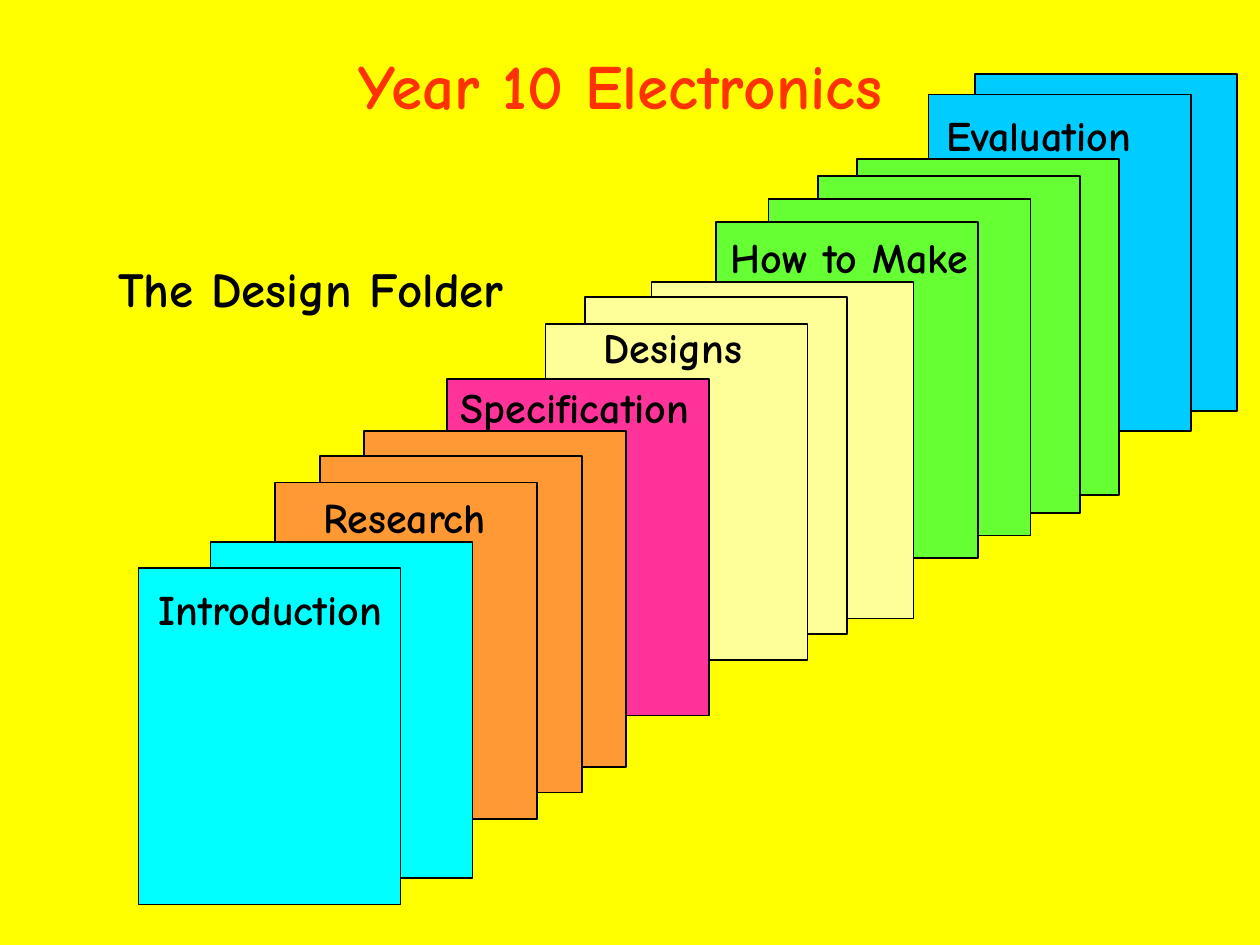
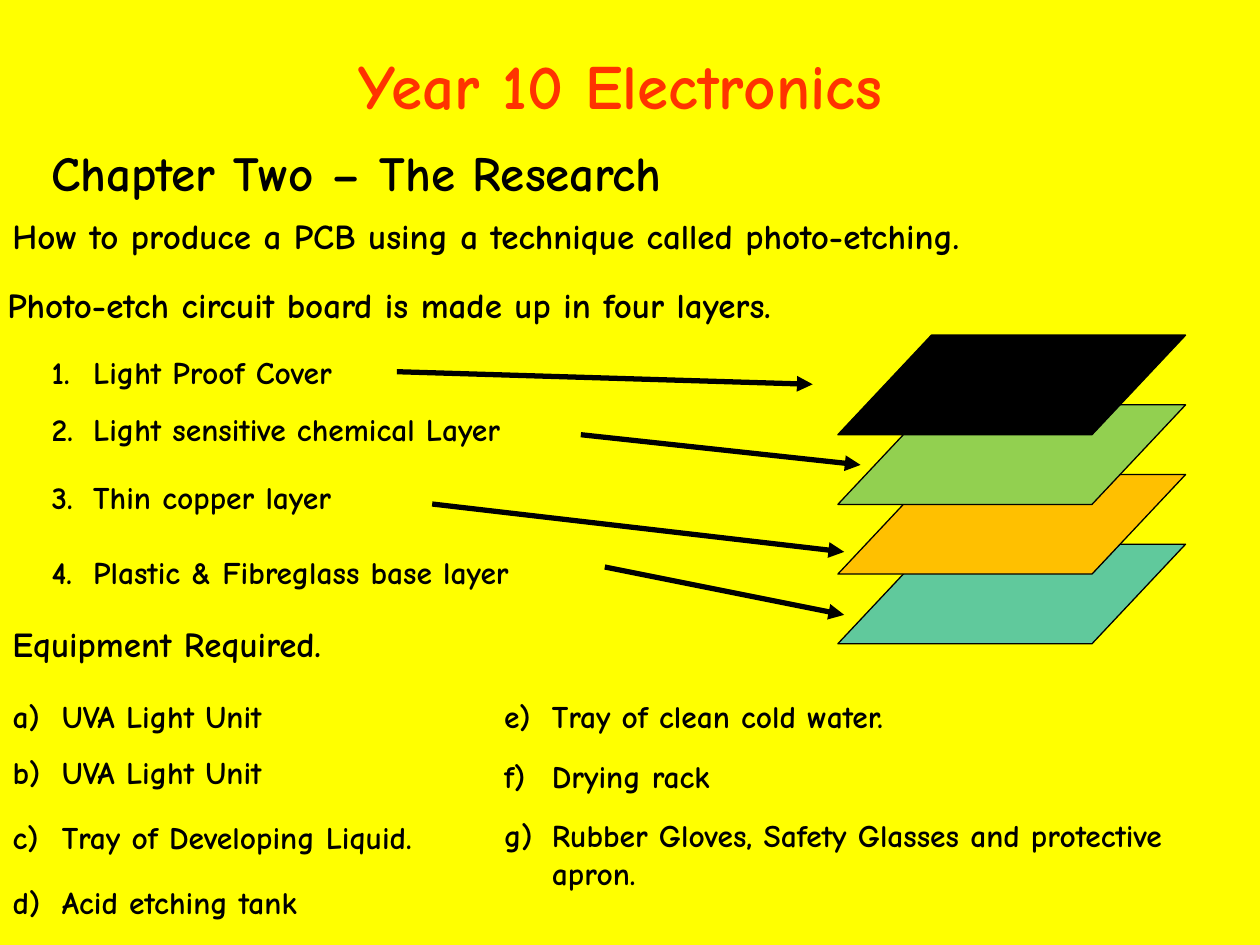
"""Build two slides on the Year 10 Electronics design folder and photo-etching."""
from lxml import etree
from pptx import Presentation
from pptx import util as u
from pptx.dml import color
from pptx.enum import shapes, text as text_enum
from pptx.oxml import ns

COLOURS = {
    "background": "FFFF00", "title": "FF3300", "ink": "000000",
    "introduction": "00FFFF", "research": "FF9933", "specification": "FF3399",
    "designs": "FFFF99", "make": "66FF33", "evaluation": "00CCFF",
    "cover": "000000", "chemical": "92D050", "copper": "FFC000", "base": "60C99C",
}
RGB = {name: color.RGBColor.from_string(value) for name, value in COLOURS.items()}
FONT = "Comic Neue"
LEFT, CENTRE = text_enum.PP_ALIGN.LEFT, text_enum.PP_ALIGN.CENTER

presentation = Presentation()
presentation.slide_width, presentation.slide_height = u.Inches(10), u.Inches(7.5)
COLUMN = presentation.slide_width / 100
ROW = presentation.slide_height / 75


def box(left, top, width, height):
    """Turn grid columns and rows into slide lengths."""
    return [u.Emu(round(value)) for value in
            (left * COLUMN, top * ROW, width * COLUMN, height * ROW)]


def write(shape, lines, size=18, ink="ink", align=LEFT, wrap=True, gaps=(),
          anchor=text_enum.MSO_ANCHOR.TOP, numbering=None, start=1, indent=0):
    """Fill a shape with formatted paragraphs, numbered when a scheme is given."""
    frame = shape.text_frame
    frame.auto_size = text_enum.MSO_AUTO_SIZE.NONE
    frame.word_wrap, frame.vertical_anchor = wrap, anchor
    frame.text = "\n".join(lines)
    for index, paragraph in enumerate(frame.paragraphs):
        paragraph.alignment = align
        paragraph.space_before = u.Pt(gaps[index - 1] if index and gaps else 0)
        font = paragraph.runs[0].font
        font.name, font.size, font.bold = FONT, u.Pt(size), True
        font.color.rgb = RGB[ink]
        if numbering:
            properties = paragraph._p.get_or_add_pPr()
            hanging = round(indent * COLUMN)
            properties.set("marL", str(hanging))
            properties.set("indent", str(-hanging))
            etree.SubElement(properties, ns.qn("a:buFont"), typeface=FONT)
            etree.SubElement(properties, ns.qn("a:buAutoNum"),
                             type=numbering, startAt=str(start))


background = presentation.slide_master.background.fill
background.solid()
background.fore_color.rgb = RGB["background"]

folder, research = [presentation.slides.add_slide(
    presentation.slide_layouts.get_by_name(name)) for name in ("Title Only", "Comparison")]
for slide in (folder, research):
    title = slide.shapes.title
    title.left, title.top, title.width, title.height = box(0, 0, 100, 12.5)
    write(title, ["Year 10 Electronics"], size=36, ink="title", align=CENTRE,
          anchor=text_enum.MSO_ANCHOR.MIDDLE)
    spacer = title.text_frame.paragraphs[0].add_run()
    spacer.text, spacer.font.name, spacer.font.size = " ", "Times New Roman", u.Pt(44)

SECTIONS = [
    ("Evaluation", "evaluation", (74.1, 8.2, 16.7, 5), [(77.4, 5.9), (73.7, 7.5)]),
    ("How to Make", "make", (56.9, 17.9, 21, 5),
     [(68, 12.6), (64.9, 14), (61, 15.8), (56.8, 17.6)]),
    ("Designs", "designs", (46.9, 25, 13, 5), [(51.7, 22.4), (46.4, 23.6), (43.3, 25.7)]),
    ("Specification", "specification", (35.6, 29.8, 20.1, 5), [(35.5, 30.1)]),
    ("Research", "research", (21.7, 38.5, 20.8, 5),
     [(28.9, 34.2), (25.4, 36.2), (21.8, 38.3)]),
    ("Introduction", "introduction", (9.8, 45.8, 23.3, 5), [(16.7, 43), (11, 45.1)]),
]
for name, fill, label_place, sheets in SECTIONS:
    for left, top in sheets:
        sheet = folder.shapes.add_shape(
            shapes.MSO_SHAPE.RECTANGLE, *box(left, top, 20.8, 26.7))
        sheet.shadow.inherit = False
        sheet.fill.solid()
        sheet.fill.fore_color.rgb = RGB[fill]
        sheet.line.color.rgb, sheet.line.width = RGB["ink"], u.Pt(1)
    label = folder.shapes.add_textbox(*box(*label_place))
    write(label, [name], size=24, align=CENTRE, wrap=False)
subtitle = folder.shapes.add_textbox(*box(8.4, 20, 32.6, 5.7))
write(subtitle, ["The Design Folder"], size=28, wrap=False)

LAYERS = ["cover", "chemical", "copper", "base"]
for index, fill in reversed(list(enumerate(LAYERS))):
    layer = research.shapes.add_shape(
        shapes.MSO_SHAPE.PARALLELOGRAM, *box(66.5, 26.6 + 5.53 * index, 27.6, 7.9))
    layer.adjustments[0] = 0.94
    layer.shadow.inherit = False
    layer.fill.solid()
    layer.fill.fore_color.rgb = RGB[fill]
    layer.line.color.rgb, layer.line.width = RGB["ink"], u.Pt(0.75)

ARROWS = [(31.5, 29.5, 64.5, 30.5), (46.1, 34.5, 68.3, 36.9),
          (34.3, 40, 67, 43.8), (48, 45, 67, 48.8)]
for ends in ARROWS:
    arrow = research.shapes.add_connector(shapes.MSO_CONNECTOR.STRAIGHT, *box(*ends))
    arrow.line.color.rgb, arrow.line.width = RGB["ink"], u.Pt(3)
    properties = arrow.element.spPr
    etree.SubElement(properties.find(ns.qn("a:ln")), ns.qn("a:tailEnd"), type="triangle")
    etree.SubElement(properties, ns.qn("a:effectLst"))

HEADINGS = [
    ("How to produce a PCB using a technique called photo-etching.", (0, 16.5, 94.9, 4.4)),
    ("Photo-etch circuit board is made up in four layers.", (-0.4, 22, 72.4, 4.4)),
    ("Equipment Required.", (0, 48.9, 72.4, 4.4)),
]
for heading, place in HEADINGS:
    write(research.shapes.add_textbox(*box(*place)), [heading], size=20)

BODIES = {
    1: ((3.1, 10.8, 60, 5.7), ["Chapter Two – The Research"], {"size": 28}),
    2: ((3.1, 27.5, 46, 20),
        ["Light Proof Cover", "Light sensitive chemical Layer", "Thin copper layer",
         "Plastic & Fibreglass base layer"],
        {"numbering": "arabicPeriod", "indent": 3.3, "gaps": (10.8, 17.3, 21.6)}),
    3: ((0, 54.8, 38, 19),
        ["UVA Light Unit", "UVA Light Unit", "Tray of Developing Liquid.",
         "Acid etching tank"],
        {"numbering": "alphaLcParenR", "indent": 3.9, "gaps": (10.8, 15.1, 15.8)}),
    4: ((39, 54.8, 55.9, 17),
        ["Tray of clean cold water.", "Drying rack",
         "Rubber Gloves, Safety Glasses and protective apron."],
        {"numbering": "alphaLcParenR", "start": 5, "indent": 3.8, "gaps": (13, 12.2)}),
}
for index, (place, lines, style) in BODIES.items():
    body = research.placeholders[index]
    body.left, body.top, body.width, body.height = box(*place)
    write(body, lines, **style)

presentation.save("out.pptx")
